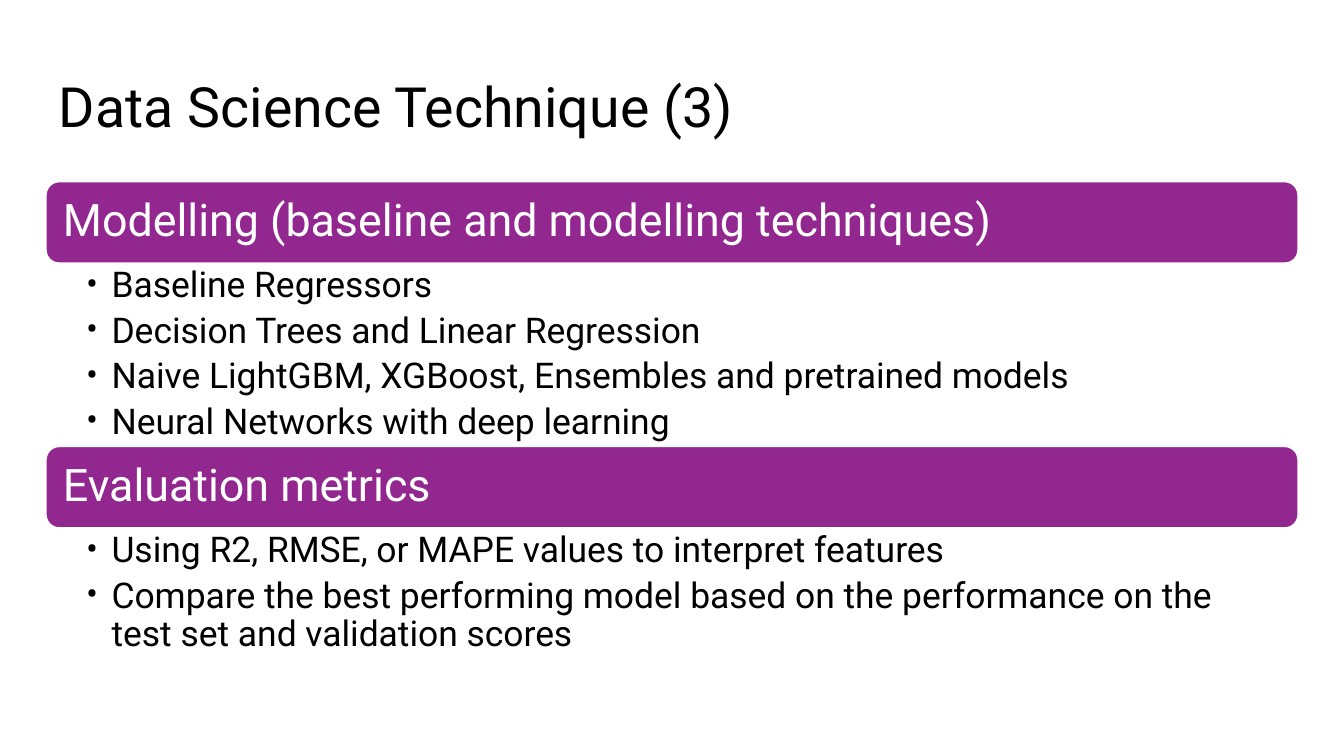
from dataclasses import dataclass

from lxml import etree
from pptx import Presentation
from pptx.dml.color import RGBColor
from pptx.enum.shapes import MSO_SHAPE
from pptx.enum.text import MSO_ANCHOR, PP_ALIGN
from pptx.oxml.ns import qn
from pptx.util import Inches, Pt

ROUNDED = MSO_SHAPE.ROUNDED_RECTANGLE
TOP = MSO_ANCHOR.TOP
MIDDLE = MSO_ANCHOR.MIDDLE
LEFT_ALIGN = PP_ALIGN.LEFT


@dataclass(frozen=True)
class Theme:
    font: str = "Roboto"
    purple: RGBColor = RGBColor(0x92, 0x27, 0x8F)
    white: RGBColor = RGBColor(0xFF, 0xFF, 0xFF)
    black: RGBColor = RGBColor(0, 0, 0)
    title_size: float = 29.7
    heading_size: float = 24
    bullet_size: float = 19


THEME = Theme()
LEFT, WIDTH = 0.34, 9.32
SECTIONS_TOP = 1.35
HEADING_HEIGHT = 0.61
SECTIONS = [
    ("Modelling (baseline and modelling techniques)", 1.36, [
        "Baseline Regressors",
        "Decision Trees and Linear Regression",
        "Naive LightGBM, XGBoost, Ensembles and pretrained models",
        "Neural Networks with deep learning",
    ]),
    ("Evaluation metrics", 0.98, [
        "Using R2, RMSE, or MAPE values to interpret features",
        "Compare the best performing model based on the performance "
        "on the test set and validation scores",
    ]),
]


def fill_text(sp, lines, size, color, insets, anchor=TOP, space_after=0):
    tf = sp.text_frame
    tf.word_wrap = True
    tf.vertical_anchor = anchor
    tf.margin_left, tf.margin_top, tf.margin_right, tf.margin_bottom = map(Inches, insets)
    tf.text = "\n".join(lines)
    for p in tf.paragraphs:
        p.alignment = LEFT_ALIGN
        p.line_spacing = 0.9
        p.space_after = Pt(space_after)
        for r in p.runs:
            r.font.name = THEME.font
            r.font.size = Pt(size)
            r.font.color.rgb = color
    return tf


def add_bullet(p):
    p.level = 1
    pPr = p._p.get_or_add_pPr()
    pPr.set("marL", str(Inches(0.19)))
    pPr.set("indent", str(Inches(-0.19)))
    etree.SubElement(pPr, qn("a:buFont")).set("typeface", THEME.font)
    etree.SubElement(pPr, qn("a:buChar")).set("char", "•")


def add_title(s, text):
    sp = s.shapes.add_textbox(Inches(LEFT), Inches(0.49), Inches(WIDTH), Inches(0.68))
    fill_text(sp, [text], THEME.title_size, THEME.black, (0.1, 0.1, 0.1, 0.1))


def add_heading(s, text, top):
    sp = s.shapes.add_shape(ROUNDED, Inches(LEFT), Inches(top),
                            Inches(WIDTH), Inches(HEADING_HEIGHT))
    sp.shadow.inherit = False
    sp.fill.solid()
    sp.fill.fore_color.rgb = THEME.purple
    sp.line.color.rgb = THEME.white
    sp.line.width = Pt(1)
    fill_text(sp, [text], THEME.heading_size, THEME.white,
              (0.1, 0.1, 0.1, 0.1), anchor=MIDDLE)


def add_bullets(s, lines, top, height):
    sp = s.shapes.add_textbox(Inches(LEFT), Inches(top), Inches(WIDTH), Inches(height))
    tf = fill_text(sp, lines, THEME.bullet_size, THEME.black,
                   (0.3, 0.03, 0.19, 0.03), space_after=3.8)
    for p in tf.paragraphs:
        add_bullet(p)


def main():
    prs = Presentation()
    prs.slide_width = Inches(10)
    prs.slide_height = prs.slide_width * 9 // 16
    s = prs.slides.add_slide(prs.slide_layouts[6])
    add_title(s, "Data Science Technique (3)")
    top = SECTIONS_TOP
    for heading, height, lines in SECTIONS:
        add_heading(s, heading, top)
        add_bullets(s, lines, top + HEADING_HEIGHT, height)
        top += HEADING_HEIGHT + height
    prs.save("out.pptx")


if __name__ == "__main__":
    main()
